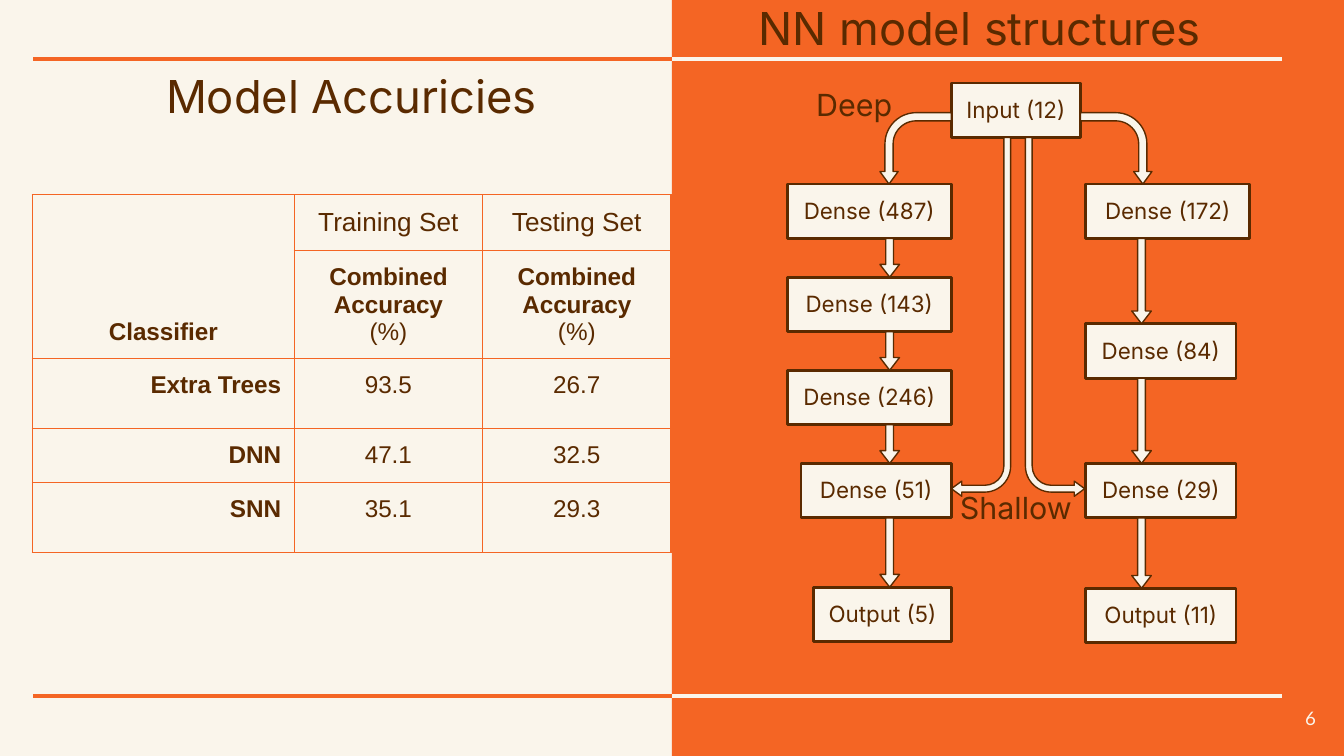
"""Build a slide that sets a model accuracy table beside two network structures."""
from dataclasses import dataclass

from lxml import etree
from pptx import Presentation
from pptx.dml.color import RGBColor
from pptx.enum.shapes import MSO_CONNECTOR as Connector, MSO_SHAPE as Shape
from pptx.enum.text import MSO_ANCHOR as Anchor, MSO_AUTO_SIZE as AutoSize, PP_ALIGN as Align
from pptx.oxml import parse_xml
from pptx.oxml.ns import nsdecls, qn
from pptx.util import Cm, Pt


@dataclass(frozen=True)
class Theme:
    cream: str = "FAF5EB"
    orange: str = "F46524"
    brown: str = "5A2A00"
    heading: float = 24.3
    label: float = 16.3
    node: float = 12
    group: float = 14
    cell: float = 13
    number: float = 10


theme = Theme()
cream, orange, brown = map(RGBColor.from_string, (theme.cream, theme.orange, theme.brown))
padding = Cm(0.25)


def write(frame, text, *, size, font="Inter", color=brown, bold=False, align=Align.CENTER):
    para = frame.add_paragraph() if frame.text else frame.paragraphs[0]
    para.alignment = align
    span = para.add_run()
    span.text = text
    span.font.name, span.font.size, span.font.bold = font, Pt(size), bold
    span.font.color.rgb = color


def pad(holder, anchor):
    holder.margin_left = holder.margin_right = padding
    holder.margin_top = holder.margin_bottom = padding
    holder.vertical_anchor = anchor


deck = Presentation()
deck.slide_width, deck.slide_height = Cm(25.4), Cm(14.29)
page = deck.slides.add_slide(deck.slide_layouts[5])
page.background.fill.solid()
page.background.fill.fore_color.rgb = cream

panel = page.shapes.add_shape(Shape.RECTANGLE, Cm(12.7), 0, Cm(12.7), deck.slide_height)
panel.shadow.inherit = False
panel.fill.solid()
panel.fill.fore_color.rgb = orange
panel.line.fill.background()

for height in (13.16, 1.12):
    for start, end, color in ((0.79, 24.23, cream), (0.63, 12.7, orange)):
        rule = page.shapes.add_connector(
            Connector.STRAIGHT, Cm(start), Cm(height), Cm(end), Cm(height))
        rule.line.color.rgb, rule.line.width = color, Pt(2.25)
        etree.SubElement(rule.element.spPr, qn("a:effectLst"))

title = page.shapes.title
page.shapes.element.append(title.element)
title.left, title.top, title.width, title.height = Cm(12.7), Cm(0.05), Cm(11.63), Cm(1.24)
title.text_frame.word_wrap = True
title.text_frame.auto_size = AutoSize.NONE
pad(title.text_frame, Anchor.BOTTOM)
write(title.text_frame, "NN model structures", size=theme.heading)

node_height, arrow_width = 1.03, 0.37
left_edge, right_edge = 17.98, 20.52
left_arrow, right_arrow = 16.63, 21.39
deep = [("Dense (487)", 3.48, 3.1), ("Dense (143)", 5.24, 3.1), ("Dense (246)", 7, 3.1),
        ("Dense (51)", 8.76, 2.84), ("Output (5)", 11.1, 2.6)]
shallow = [("Dense (172)", 3.48, 3.1), ("Dense (84)", 6.12, 2.84),
           ("Dense (29)", 8.76, 2.84), ("Output (11)", 11.12, 2.84)]

nodes = [("Input (12)", left_edge, 1.57, 2.44)]
nodes += [(text, left_edge - width, top, width) for text, top, width in deep]
nodes += [(text, right_edge, top, width) for text, top, width in shallow]
arrows = [(Shape.BENT_ARROW, left_arrow, 2.13, 1.35, 1.35, 270, True),
          (Shape.BENT_ARROW, 20.42, 2.13, 1.35, 1.35, 90, False),
          (Shape.BENT_ARROW, 19.38, 2.6, 1.12, 6.78, 180, True),
          (Shape.BENT_ARROW, 17.98, 2.6, 1.12, 6.78, 180, False)]
for left, chain in ((left_arrow, deep), (right_arrow, shallow)):
    for (_, top, _), (_, below, _) in zip(chain, chain[1:]):
        start = top + node_height
        arrows.append((Shape.DOWN_ARROW, left, start, arrow_width, below - start, 0, False))
bends = {Shape.BENT_ARROW: (0.115, 0.128, 0.175, 0.438), Shape.DOWN_ARROW: (0.397, 0.65)}

parts = [(Shape.RECTANGLE, left, top, width, node_height, 0, False, text, 1.5)
         for text, left, top, width in nodes]
parts += [(*arrow, "", 0.75) for arrow in arrows]
for kind, left, top, width, height, turn, mirrored, text, weight in parts:
    part = page.shapes.add_shape(kind, Cm(left), Cm(top), Cm(width), Cm(height))
    part.shadow.inherit = False
    part.fill.solid()
    part.fill.fore_color.rgb = cream
    part.line.color.rgb, part.line.width = brown, Pt(weight)
    part.rotation = turn
    if mirrored:
        part.element.spPr.get_or_add_xfrm().set("flipH", "1")
    for index, value in enumerate(bends.get(kind, ())):
        part.adjustments[index] = value
    if text:
        part.text_frame.word_wrap = False
        pad(part.text_frame, Anchor.TOP)
        write(part.text_frame, text, size=theme.node)

rows = [("Classifier", "Training Set", "Testing Set"),
        ("", "Combined Accuracy", "Combined Accuracy"),
        ("Extra Trees", "93.5", "26.7"),
        ("DNN", "47.1", "32.5"),
        ("SNN", "35.1", "29.3")]
row_heights, column_widths = (1.06, 2.04, 1.32, 1.02, 1.32), (4.95, 3.56, 3.56)
table = page.shapes.add_table(len(rows), len(column_widths), Cm(0.61), Cm(3.68),
                              Cm(sum(column_widths)), Cm(sum(row_heights))).table
table.first_row = table.horz_banding = False
for column, width in zip(table.columns, column_widths):
    column.width = Cm(width)
for row, height in zip(table.rows, row_heights):
    row.height = Cm(height)
table.cell(0, 0).merge(table.cell(1, 0))
for y, row in enumerate(rows):
    for x, text in enumerate(row):
        cell = table.cell(y, x)
        pad(cell, Anchor.BOTTOM if (y, x) == (0, 0) else Anchor.TOP)
        cell.fill.background()
        properties = cell._tc.get_or_add_tcPr()
        for index, side in enumerate("LRTB"):
            properties.insert(index, parse_xml(
                f'<a:ln{side} {nsdecls("a")} w="{Pt(0.75)}"><a:solidFill>'
                f'<a:srgbClr val="{theme.orange}"/></a:solidFill></a:ln{side}>'))
        if text:
            write(cell.text_frame, text, font="Arial", bold=x == 0 or y == 1,
                  size=theme.group if y == 0 and x else theme.cell,
                  align=Align.RIGHT if x == 0 and y > 1 else Align.CENTER)
        if y == 1 and x:
            write(cell.text_frame, "(%)", font="Arial", size=theme.cell)

number_format = dict(size=theme.number, font="Lato", color=cream, align=Align.RIGHT)
labels = [("Model Accuricies", 0.61, 1.32, 12.07, 1.24, Anchor.BOTTOM, dict(size=theme.heading)),
          ("Deep", 14.81, 1.32, 2.67, 1.24, Anchor.BOTTOM, dict(size=theme.label)),
          ("Shallow", 17.78, 8.94, 2.84, 1.24, Anchor.BOTTOM, dict(size=theme.label)),
          ("6", 23.6, 13.03, 1.52, 1.09, Anchor.MIDDLE, number_format)]
for text, left, top, width, height, anchor, style in labels:
    box = page.shapes.add_textbox(Cm(left), Cm(top), Cm(width), Cm(height))
    box.text_frame.word_wrap = True
    pad(box.text_frame, anchor)
    write(box.text_frame, text, **style)

deck.save("out.pptx")
